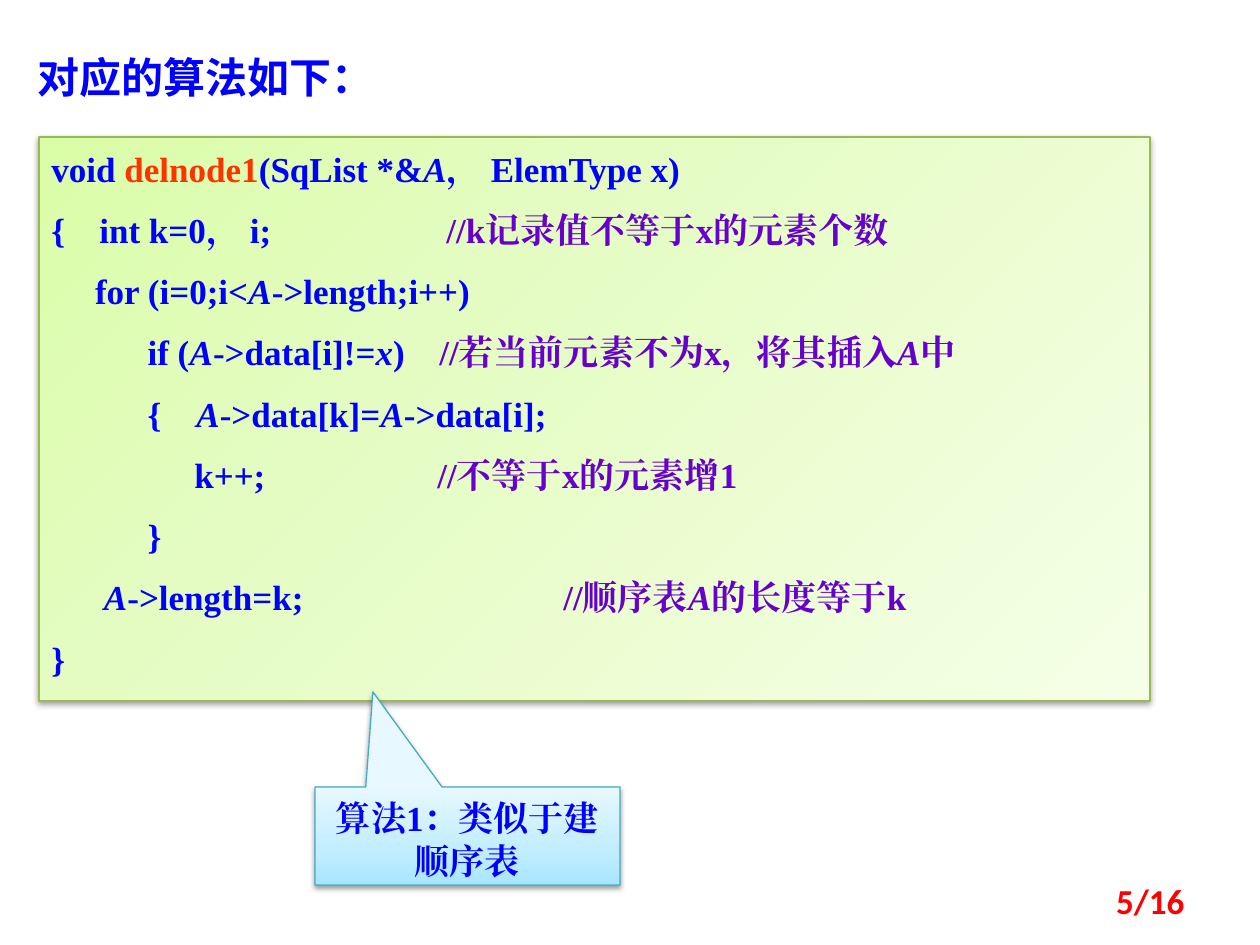
from pptx import Presentation
from pptx.dml.color import RGBColor
from pptx.enum.shapes import MSO_SHAPE as Geom
from pptx.enum.text import MSO_ANCHOR as Anchor, MSO_AUTO_SIZE as Fit, PP_ALIGN as Align
from pptx.oxml import parse_xml
from pptx.oxml.ns import nsdecls, qn
from pptx.util import Pt

UNIT = 914400 / 126  # EMU in one px
BLUE, PURPLE, ORANGE, RED = "0000FF", "6600CC", "FF3300", "FF0000"
SERIF, SANS, PLAIN = "Times New Roman", "Noto Sans CJK SC", "Calibri"
GREEN_FADE = [(0, "DAFDA7"), (35, "E4FCC2"), (100, "F5FFE7")]
SKY_FADE = [(0, "A7E6FF"), (35, "C1EDFF"), (100, "E7F8FF")]


def px(n):
    return round(n * UNIT)


def hue(code):
    return RGBColor.from_string(code)


def put(para, text, size=20, face=SERIF, color=BLUE, bold=True, italic=False):
    run = para.add_run()
    run.text = text
    font = run.font
    font.size, font.name, font.bold, font.italic = Pt(size), face, bold, italic
    font.color.rgb = hue(color)
    east = parse_xml(f'<a:ea {nsdecls("a")} typeface="{face}"/>')
    run._r.rPr.find(qn("a:latin")).addnext(east)


def set_tabs(para, stops):
    tabs = "".join(f'<a:tab pos="{px(x)}" algn="l"/>' for x in stops)
    para._p.get_or_add_pPr().append(
        parse_xml(f'<a:tabLst {nsdecls("a")}>{tabs}</a:tabLst>'))


class Page:
    def __init__(self, deck):
        self.slide = deck.slides.add_slide(deck.slide_layouts[5])

    def frame(self, shape, top=6, anchor=Anchor.TOP):
        box = shape.text_frame
        box.word_wrap, box.auto_size = True, Fit.NONE
        box.margin_top, box.vertical_anchor = px(top), anchor
        return box

    def title(self, text, x, y, w, h):
        shape = self.slide.shapes.title
        shape.left, shape.top, shape.width, shape.height = map(px, (x, y, w, h))
        para = self.frame(shape).paragraphs[0]
        para.alignment = Align.LEFT
        put(para, text, size=24, face=SANS)

    def panel(self, kind, x, y, w, h, fade, angle, edge):
        """Add a shape with a gradient, a thin edge and a soft shadow."""
        shape = self.slide.shapes.add_shape(kind, *map(px, (x, y, w, h)))
        shape.line.color.rgb = hue(edge)
        shape.line.width = Pt(0.75)
        stops = "".join(f'<a:gs pos="{at * 1000}"><a:srgbClr val="{code}"/></a:gs>'
                        for at, code in fade)
        shape._element.spPr.find(qn("a:ln")).addprevious(parse_xml(
            f'<a:gradFill {nsdecls("a")} rotWithShape="1"><a:gsLst>{stops}</a:gsLst>'
            f'<a:lin ang="{angle * 60000}" scaled="0"/></a:gradFill>'))
        shape.shadow.inherit = False
        shape._element.spPr.find(qn("a:effectLst")).append(parse_xml(
            f'<a:outerShdw {nsdecls("a")} blurRad="{Pt(3.1)}" dist="{Pt(1.6)}" '
            'dir="5400000" rotWithShape="0"><a:srgbClr val="000000">'
            '<a:alpha val="38000"/></a:srgbClr></a:outerShdw>'))
        return shape

    def code(self, lines, *place):
        box = self.frame(self.panel(Geom.RECTANGLE, *place), top=10)
        for i, (stops, runs) in enumerate(lines):
            para = box.add_paragraph() if i else box.paragraphs[0]
            para.alignment = Align.LEFT
            if i:
                para.space_before = Pt(11)
            if stops:
                set_tabs(para, stops)
            for text, style in runs:
                put(para, text, **style)

    def callout(self, text, tip, *place):
        shape = self.panel(Geom.RECTANGULAR_CALLOUT, *place)
        shape.adjustments[0], shape.adjustments[1] = tip
        para = self.frame(shape, top=10).paragraphs[0]
        para.alignment = Align.CENTER
        put(para, text)

    def number(self, text, x, y, w, h):
        shape = self.slide.shapes.add_textbox(*map(px, (x, y, w, h)))
        para = self.frame(shape, anchor=Anchor.MIDDLE).paragraphs[0]
        para.alignment = Align.RIGHT
        put(para, text, face=PLAIN, color=RED)


def code(text):
    return text, {}


def note(text):
    return text, {"color": PURPLE}


VAR = ("A", {"italic": True})
NOTE_VAR = ("A", {"italic": True, "color": PURPLE})

# Each line: tab stops in px, then its runs
LINES = [
    ([], [code("void "), ("delnode1", {"color": ORANGE}), code("(SqList *&"), VAR,
          code("， ElemType x)")]),
    ([48, 395], [code("{\tint k=0， i;\t"), note("//k记录值不等于x的元素个数")]),
    ([], [code("     for (i=0;i<"), VAR, code("->length;i++)")]),
    ([388], [code("           if ("), VAR, code("->data[i]!="), ("x", {"italic": True}),
             code(")\t"), note("//若当前元素不为x，将其插入"), NOTE_VAR, note("中")]),
    ([145], [code("           {\t"), VAR, code("->data[k]="), VAR, code("->data[i];")]),
    ([143, 386], [code("\tk++;\t"), note("//不等于x的元素增1")]),
    ([], [code("           }")]),
    ([512], [code("      "), VAR, code("->length=k;\t"), note("//顺序表"), NOTE_VAR,
             note("的长度等于k")]),
    ([], [code("}")]),
]


def main():
    deck = Presentation()
    deck.slide_width, deck.slide_height = px(1260), px(945)
    page = Page(deck)
    page.title("对应的算法如下：", 25, 45, 1142, 63)
    page.code(LINES, 39, 137, 1111, 564, GREEN_FADE, 45, "98B955")
    page.callout("算法1：类似于建顺序表", (-0.31, -1.47),
                 315, 787, 305, 98, SKY_FADE, 270, "46AAC5")
    page.number("5/16", 903, 876, 294, 50)
    deck.save("out.pptx")


if __name__ == "__main__":
    main()
